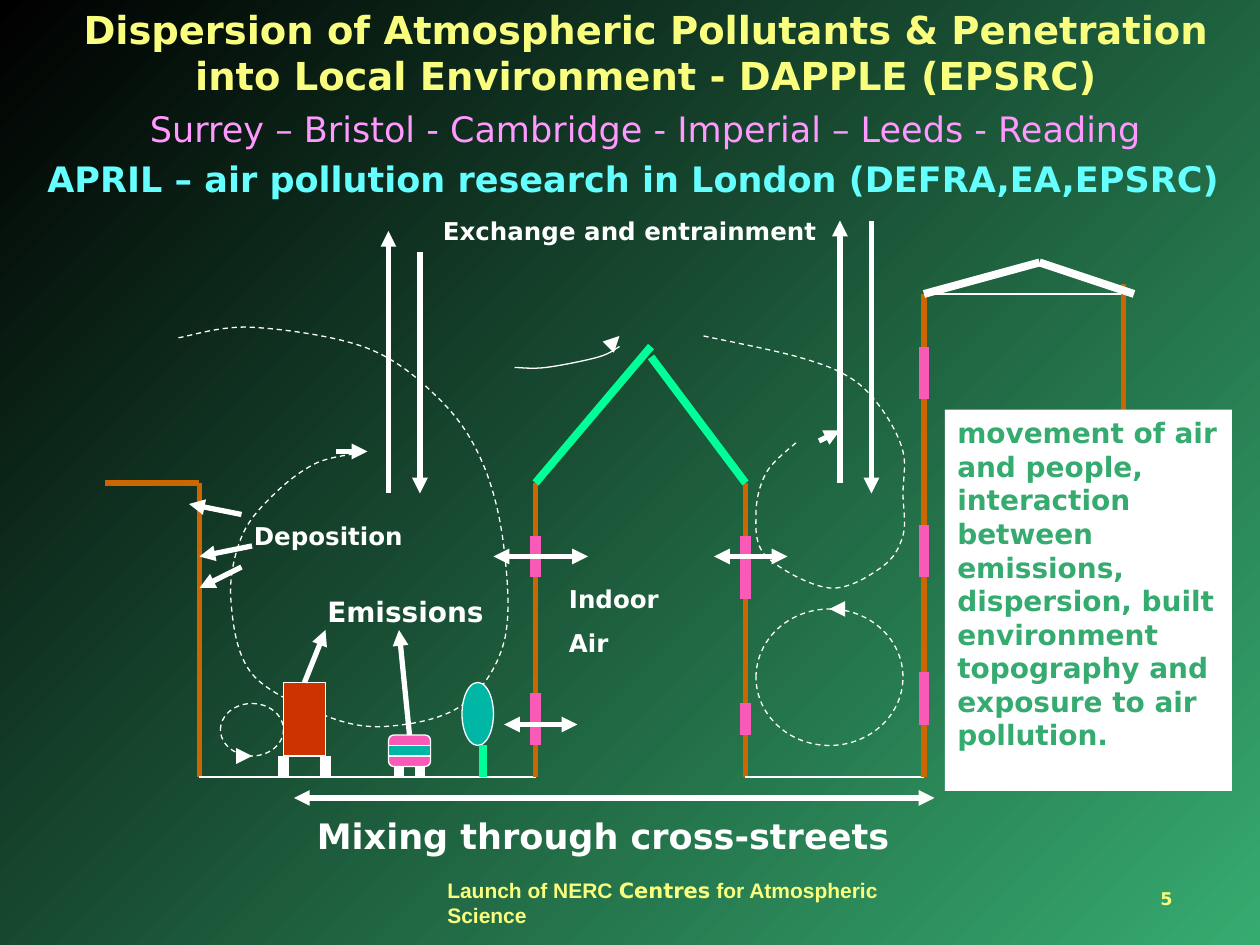
from collections import namedtuple

from lxml.etree import Element, SubElement
from pptx import Presentation
from pptx.dml.color import RGBColor as Rgb
from pptx.enum.dml import MSO_LINE
from pptx.enum.shapes import MSO_CONNECTOR, MSO_SHAPE as Preset
from pptx.enum.text import MSO_ANCHOR, MSO_AUTO_SIZE, PP_ALIGN
from pptx.oxml.ns import qn
from pptx.util import Pt

WHITE = Rgb(0xFF, 0xFF, 0xFF)
BLACK = Rgb(0x00, 0x00, 0x00)
GREEN = Rgb(0x36, 0xAB, 0x70)
YELLOW = Rgb(0xFA, 0xFE, 0x7E)
LILAC = Rgb(0xFF, 0x99, 0xFF)
CYAN = Rgb(0x66, 0xFF, 0xFF)
BROWN = Rgb(0xCC, 0x66, 0x00)
MINT = Rgb(0x00, 0xFF, 0x99)
TEAL = Rgb(0x00, 0xB7, 0xA5)
PINK = Rgb(0xF9, 0x5A, 0xB7)
RED = Rgb(0xCC, 0x33, 0x00)
SANS = "DejaVu Sans"
THIN, WALL, ROOF, WIDE = 0.75, 3, 4.5, 6

Box = namedtuple("Box", "left top width height")


def inside(box, left, top, width, height):
    """Return a box placed relative to another box."""
    return Box(box.left + left, box.top + top, width, height)


def apply(target, values):
    """Set attributes from a dict of format values."""
    for key, value in values.items():
        setattr(target, key, value)


def write(paragraph, words, size, color, bold=True, face=SANS):
    """Add one formatted run to a paragraph."""
    run = paragraph.add_run()
    run.text = words
    apply(run.font, {"name": face, "size": Pt(size), "bold": bold})
    run.font.color.rgb = color


def prepare(frame):
    """Make a text frame wrap from the top without resizing."""
    apply(frame, {"word_wrap": True, "auto_size": MSO_AUTO_SIZE.NONE,
                  "vertical_anchor": MSO_ANCHOR.TOP})
    return frame


def label(slide, box, lines, size, color=WHITE, gap=0):
    """Place a bold text label with one paragraph per line."""
    frame = prepare(slide.shapes.add_textbox(*map(Pt, box)).text_frame)
    for index, words in enumerate(lines):
        paragraph = frame.add_paragraph() if index else frame.paragraphs[0]
        if index:
            paragraph.space_before = Pt(gap)
        write(paragraph, words, size, color)


def stroke(slide, box, start, end, color=WHITE, width=WALL, ends=()):
    """Draw a line between two points of a box, with optional arrowheads."""
    points = [Pt(base + offset) for point in (start, end)
              for base, offset in zip(box[:2], point)]
    connector = slide.shapes.add_connector(MSO_CONNECTOR.STRAIGHT, *points)
    connector.line.color.rgb = color
    connector.line.width = Pt(width)
    outline = connector.line._get_or_add_ln()
    for end_name in ends:
        SubElement(outline, qn(f"a:{end_name}"), type="triangle")
    SubElement(connector._element.spPr, qn("a:effectLst"))


def arrows(slide, box, pairs, ends=("tailEnd",)):
    """Draw white arrows between pairs of points."""
    for start, end in pairs:
        stroke(slide, box, start, end, ends=ends)


def windows(slide, box, wall, spans):
    """Draw pink openings along an upright wall."""
    for top, bottom in spans:
        stroke(slide, box, (wall, top), (wall, bottom), PINK, WIDE)


def outline_white(shape, dashed):
    """Give a shape a thin white outline without shadow."""
    shape.shadow.inherit = False
    shape.line.color.rgb = WHITE
    shape.line.width = Pt(THIN)
    if dashed:
        shape.line.dash_style = MSO_LINE.DASH


def solid(slide, preset, box, fill=None):
    """Draw an outlined preset shape, dashed when it has no fill."""
    shape = slide.shapes.add_shape(preset, *map(Pt, box))
    outline_white(shape, fill is None)
    if fill is None:
        shape.fill.background()
    else:
        shape.fill.solid()
        shape.fill.fore_color.rgb = fill
    return shape


def bend(curve):
    """Turn the straight segments of an outline into smooth Bezier curves."""
    outline = next(curve._element.iter(qn("a:path")))
    knots = [(int(pt.get("x")), int(pt.get("y"))) for pt in outline.iter(qn("a:pt"))]
    padded = [knots[0], *knots, knots[-1]]
    segments = outline.findall(qn("a:lnTo"))
    for segment, a, b, c, d in zip(segments, padded, padded[1:], padded[2:], padded[3:]):
        segment.tag = qn("a:cubicBezTo")
        handles = [[q + (r - p) / 6 for p, q, r in zip(a, b, c)],
                   [r - (s - q) / 6 for q, r, s in zip(b, c, d)]]
        for index, (x, y) in enumerate(handles):
            segment.insert(index, Element(qn("a:pt"), x=str(round(x)), y=str(round(y))))


def airflow(slide, box, knots, dashed=True):
    """Draw a smooth open curve through the knots of a box."""
    placed = [(Pt(box.left + x), Pt(box.top + y)) for x, y in knots]
    builder = slide.shapes.build_freeform(*placed[0], scale=1.0)
    builder.add_line_segments(placed[1:], close=False)
    curve = builder.convert_to_shape()
    bend(curve)
    curve.fill.background()
    outline_white(curve, dashed)


def heading(slide, box):
    """Fill the title with the project, its partners and the programme."""
    title = slide.shapes.title
    apply(title, dict(zip(box._fields, map(Pt, box))))
    frame = prepare(title.text_frame)
    lines = [
        ("Dispersion of Atmospheric Pollutants & Penetration into Local "
         "Environment - DAPPLE (EPSRC)", 22, YELLOW, True, 0),
        ("Surrey – Bristol - Cambridge - Imperial – Leeds - Reading", 20, LILAC, False, 5),
        ("APRIL – air pollution research in London (DEFRA,EA,EPSRC)", 20, CYAN, True, 4.5),
    ]
    for index, (words, size, color, bold, gap) in enumerate(lines):
        paragraph = frame.add_paragraph() if index else frame.paragraphs[0]
        apply(paragraph, {"alignment": PP_ALIGN.CENTER, "space_before": Pt(gap)})
        write(paragraph, words, size, color, bold)
    paragraph._p.get_or_add_pPr().set("marR", str(Pt(14)))


def left_street(slide, box):
    """Draw the street with traffic, tree, emissions and deposition."""
    stroke(slide, box, (0, 144), (54, 144), BROWN)
    stroke(slide, box, (54, 144), (54, 312), BROWN)
    stroke(slide, box, (54, 312), (246, 312), width=THIN)
    airflow(slide, box, [
        (42, 61), (84, 55), (150, 67), (192, 97), (216, 133), (228, 181),
        (228, 235), (204, 271), (162, 283), (126, 277), (84, 253), (72, 211),
        (78, 175), (96, 151), (120, 133), (144, 127)])
    solid(slide, Preset.OVAL, inside(box, 66, 270, 36, 30))
    solid(slide, Preset.OVAL, inside(box, 204, 258, 18, 36), TEAL)
    stroke(slide, box, (216, 312), (216, 294), MINT, ROOF)
    solid(slide, Preset.RECTANGLE, inside(box, 102, 258, 24, 42), RED)
    car = solid(slide, Preset.ROUNDED_RECTANGLE, inside(box, 162, 288, 24, 18), PINK)
    car.adjustments[0] = 0.17
    solid(slide, Preset.RECTANGLE, inside(box, 162, 294, 24, 6), TEAL)
    for wheel, axle in ((102, 300), (126, 300), (168, 306), (180, 306)):
        stroke(slide, box, (wheel, axle), (wheel, 312), width=WIDE)
    label(slide, inside(box, 78, 162, 114, 24), ["Deposition"], 14)
    label(slide, inside(box, 120, 204, 108, 27), ["Emissions"], 16)
    arrows(slide, box, [
        ((132, 126), (150, 126)), ((162, 150), (162, 0)), ((180, 12), (180, 150)),
        ((78, 162), (48, 156)), ((84, 180), (54, 186)), ((78, 192), (54, 204)),
        ((114, 258), (126, 228)), ((174, 288), (168, 228))])
    arrows(slide, box, [((84, 300), (78, 300))], ("headEnd",))


def house(slide, box):
    """Draw the gabled house with openings and indoor air."""
    eaves, ridge = 84, 66
    for wall in (0, box.width):
        stroke(slide, box, (wall, eaves), (wall, box.height), BROWN)
    stroke(slide, box, (0, eaves), (ridge, 6), MINT, ROOF)
    stroke(slide, box, (ridge, 12), (box.width, eaves), MINT, ROOF)
    airflow(slide, box, [(-12, 18), (6, 18), (36, 12), (48, 6)], dashed=False)
    arrows(slide, box, [((42, 6), (48, 0))])
    label(slide, inside(box, 12, 138, 96, 50), ["Indoor", "Air"], 14, gap=8.8)
    windows(slide, box, 0, [(114, 138), (204, 234)])
    windows(slide, box, box.width, [(114, 150), (210, 228)])
    arrows(slide, box, [((-24, 126), (30, 126)), ((-18, 222), (24, 222)),
                        ((102, 126), (144, 126))], ("headEnd", "tailEnd"))


def right_street(slide, box):
    """Draw the narrow street with its two eddies and exchange arrows."""
    stroke(slide, box, (24, box.height), (box.width, box.height), width=THIN)
    airflow(slide, box, [
        (0, 66), (54, 78), (84, 90), (102, 108), (114, 132), (114, 156),
        (114, 180), (102, 198), (72, 210), (36, 192), (30, 168), (36, 144),
        (54, 126)])
    solid(slide, Preset.OVAL, inside(box, 30, 222, 84, 78))
    arrows(slide, box, [((66, 126), (78, 120)), ((78, 150), (78, 0)),
                        ((96, 0), (96, 156))])
    arrows(slide, box, [((72, 222), (78, 222))], ("headEnd",))


def tall_building(slide, box):
    """Draw the tall building with its roof and windows."""
    stroke(slide, box, (0, box.height), (0, 18), BROWN)
    stroke(slide, box, (0, 18), (box.width, 18), width=THIN)
    stroke(slide, box, (box.width, 12), (box.width, 300), BROWN)
    stroke(slide, box, (0, 18), (66, 0), width=ROOF)
    stroke(slide, box, (66, 0), (120, 18), width=ROOF)
    windows(slide, box, 0, [(48, 78), (150, 180), (234, 264)])


def mixing(slide, box):
    """Draw the cross-street arrow above its caption."""
    arrows(slide, box, [((0, 0), (box.width, 0))], ("headEnd", "tailEnd"))
    label(slide, inside(box, 6, 6, 402, 32), ["Mixing through cross-streets"], 20)


def summary(slide, box):
    """Place the white panel with the research summary."""
    panel = slide.shapes.add_shape(Preset.RECTANGLE, *map(Pt, box))
    panel.shadow.inherit = False
    panel.fill.solid()
    panel.fill.fore_color.rgb = WHITE
    panel.line.fill.background()
    paragraph = prepare(panel.text_frame).paragraphs[0]
    paragraph.alignment = PP_ALIGN.LEFT
    write(paragraph, "movement of air and people, interaction between emissions, "
          "dispersion, built environment topography and exposure to air pollution.",
          16, GREEN)


def footer(slide, box):
    """Place the event name and the slide number."""
    event = slide.shapes.add_textbox(*map(Pt, inside(box, 0, 0, 303, 22)))
    paragraph = prepare(event.text_frame).paragraphs[0]
    for words, face in (("Launch of NERC ", "Arial"), ("Centres", SANS),
                        (" for Atmospheric Science", "Arial")):
        write(paragraph, words, 12, YELLOW, face=face)
    label(slide, inside(box, box.width - 66, 6, 66, 21), ["5"], 10, YELLOW)


def main():
    """Build the slide and save it."""
    deck = Presentation()
    apply(deck, {"slide_width": Pt(720), "slide_height": Pt(540)})
    slide = deck.slides.add_slide(deck.slide_layouts[5])
    backdrop = slide.background.fill
    backdrop.gradient()
    backdrop.gradient_angle = 135
    for stop, color in zip(backdrop.gradient_stops, (GREEN, BLACK)):
        stop.color.rgb = color
    heading(slide, Box(18, 0, 702, 117))
    label(slide, Box(246, 120, 246, 24), ["Exchange and entrainment"], 14)
    left_street(slide, Box(60, 132, 246, 312))
    house(slide, Box(306, 192, 120, 252))
    right_street(slide, Box(402, 126, 126, 318))
    tall_building(slide, Box(528, 150, 114, 294))
    mixing(slide, Box(168, 456, 366, 38))
    summary(slide, Box(540, 234, 164, 218))
    footer(slide, Box(248.5, 498, 473.5, 40))
    deck.save("out.pptx")


if __name__ == "__main__":
    main()
